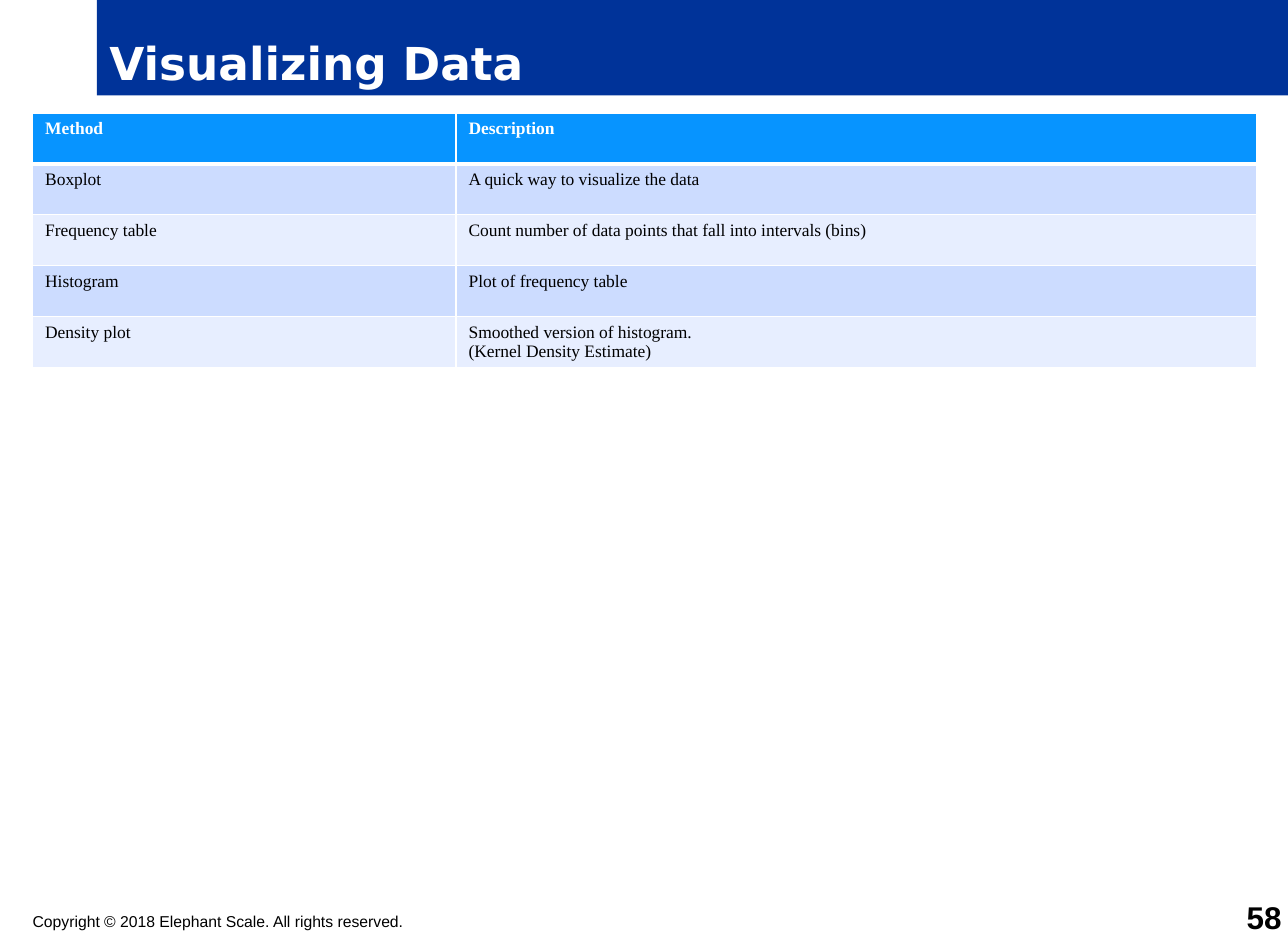
from lxml import etree
from pptx import Presentation
from pptx.dml.color import RGBColor
from pptx.enum.text import MSO_ANCHOR, MSO_AUTO_SIZE, PP_ALIGN
from pptx.oxml.ns import qn
from pptx.util import Pt

PX = 4572  # EMU per px, 200 px to the inch
TOP, BOTTOM = MSO_ANCHOR.TOP, MSO_ANCHOR.BOTTOM
LEFT, RIGHT = PP_ALIGN.LEFT, PP_ALIGN.RIGHT
NO_FIT = MSO_AUTO_SIZE.NONE

WHITE, BLACK, NAVY, AZURE = "FFFFFF", "000000", "003399", "0794FF"
BANDS = ("CCDCFF", "E7EEFF")
ROWS = [
    ("Method", "Description"),
    ("Boxplot", "A quick way to visualize the data"),
    ("Frequency table",
     "Count number of data points that fall into intervals (bins)"),
    ("Histogram", "Plot of frequency table"),
    ("Density plot", "Smoothed version of histogram.\v(Kernel Density Estimate)"),
]


def color(code):
    return RGBColor.from_string(code)


def scale(box):
    return [n * PX for n in box]


def paint(fill, code):
    fill.solid()
    fill.fore_color.rgb = color(code)


def write(frame, text, font, size, code, bold=False, align=LEFT):
    frame.text = text
    for para in frame.paragraphs:
        para.alignment = align
        style = {"name": font, "size": Pt(size), "bold": bold}
        for run in para.runs:
            for key, value in style.items():
                setattr(run.font, key, value)
            run.font.color.rgb = color(code)


def set_frame(frame, anchor, inset):
    style = {"word_wrap": True, "auto_size": NO_FIT, "vertical_anchor": anchor,
             "margin_left": inset[0] * PX, "margin_right": inset[0] * PX,
             "margin_top": inset[1] * PX, "margin_bottom": inset[1] * PX}
    for key, value in style.items():
        setattr(frame, key, value)


def add_border(cell, side, width):
    props = cell._tc.get_or_add_tcPr()
    line = etree.SubElement(props, qn(f"a:ln{side}"), w=str(Pt(width)))
    fill = etree.SubElement(line, qn("a:solidFill"))
    etree.SubElement(fill, qn("a:srgbClr"), val=WHITE)


# Title band
def add_title(slide, box, text):
    title = slide.shapes.title
    title.left, title.top, title.width, title.height = scale(box)
    paint(title.fill, NAVY)
    set_frame(title.text_frame, BOTTOM, (20, 10))
    write(title.text_frame, text, "DejaVu Sans", 26, WHITE, bold=True)


# Table of methods
def add_methods(slide, box, widths):
    frame = slide.shapes.add_table(len(ROWS), len(widths), *scale(box))
    table = frame.table
    for col, width in zip(table.columns, widths):
        col.width = width * PX
    for i, texts in enumerate(ROWS):
        head = i == 0
        table.rows[i].height = box[3] * PX // len(ROWS)
        for j, text in enumerate(texts):
            cell = table.cell(i, j)
            for side in "LRTB":
                thick = (i, side) in ((0, "B"), (1, "T"))
                add_border(cell, side, 3 if thick else 1)
            paint(cell.fill, AZURE if head else BANDS[(i - 1) % 2])
            write(cell.text_frame, text, "Times New Roman", 10,
                  WHITE if head else BLACK, bold=head)


# Footer texts
def add_note(slide, box, text, size, anchor=TOP, **style):
    frame = slide.shapes.add_textbox(*scale(box)).text_frame
    set_frame(frame, anchor, (0, 0))
    write(frame, text, "Arial", size, BLACK, **style)


def main():
    deck = Presentation()
    deck.slide_width, deck.slide_height = scale((2050, 1500))
    slide = deck.slides.add_slide(deck.slide_layouts[5])
    paint(slide.background.fill, WHITE)
    add_title(slide, (154, 0, 1896, 152), "Visualizing Data")
    add_methods(slide, (52, 180, 1948, 405), (674, 1274))
    add_note(slide, (52, 1452, 1190, 30),
             "Copyright © 2018 Elephant Scale. All rights reserved.", 9)
    add_note(slide, (1920, 1440, 120, 50), "58", 18, BOTTOM,
             bold=True, align=RIGHT)
    deck.save("out.pptx")


if __name__ == "__main__":
    main()
